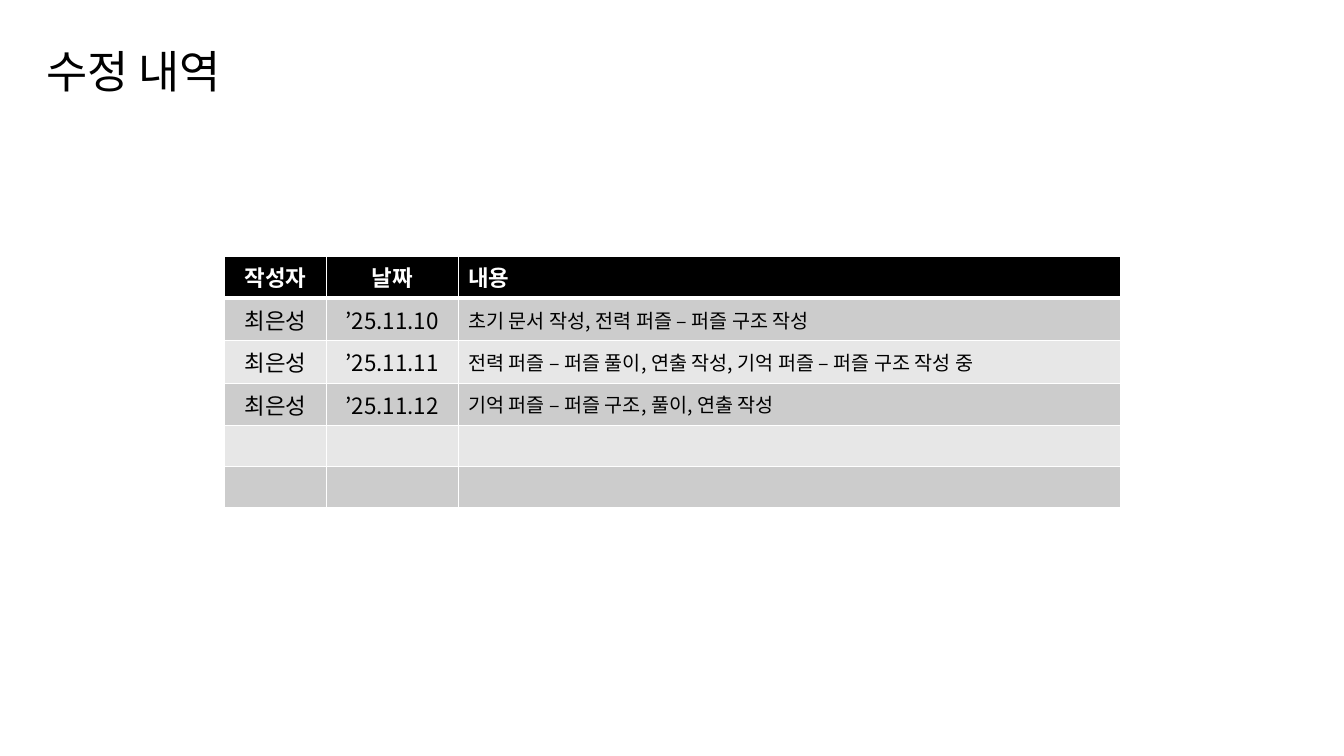
import dataclasses

import lxml.etree
import pptx
import pptx.dml.color
import pptx.enum.text
import pptx.oxml.ns
import pptx.util

Cm = pptx.util.Cm
Pt = pptx.util.Pt
qn = pptx.oxml.ns.qn
PP_ALIGN = pptx.enum.text.PP_ALIGN
MIDDLE = pptx.enum.text.MSO_ANCHOR.MIDDLE

FONT = "Noto Sans CJK KR"
COLORS = {
    "ink": "000000",
    "paper": "FFFFFF",
    "odd_row": "CCCCCC",
    "even_row": "E7E7E7",
}


@dataclasses.dataclass(frozen=True)
class Column:
    heading: str
    width: float
    align: PP_ALIGN
    size: int


@dataclasses.dataclass(frozen=True)
class Revision:
    author: str = ""
    date: str = ""
    details: str = ""


COLUMNS = [
    Column("작성자", 2.56, PP_ALIGN.CENTER, 16),
    Column("날짜", 3.33, PP_ALIGN.CENTER, 16),
    Column("내용", 16.69, PP_ALIGN.LEFT, 14),
]
REVISIONS = [
    Revision("최은성", "’25.11.10", "초기 문서 작성, 전력 퍼즐 – 퍼즐 구조 작성"),
    Revision("최은성", "’25.11.11", "전력 퍼즐 – 퍼즐 풀이, 연출 작성, 기억 퍼즐 – 퍼즐 구조 작성 중"),
    Revision("최은성", "’25.11.12", "기억 퍼즐 – 퍼즐 구조, 풀이, 연출 작성"),
    Revision(),
    Revision(),
]
HEADING_SIZE = 16
ROW_HEIGHT = 1.03


def rgb(color: str) -> pptx.dml.color.RGBColor:
    return pptx.dml.color.RGBColor.from_string(COLORS[color])


def write(frame, text: str, size: int, color: str, align: PP_ALIGN, bold: bool = False) -> None:
    paragraph = frame.paragraphs[0]
    paragraph.text = text
    paragraph.alignment = align
    font = paragraph.font
    font.size = Pt(size)
    font.bold = bold
    font.name = FONT
    font.color.rgb = rgb(color)
    defaults = paragraph._p.pPr.find(qn("a:defRPr"))
    lxml.etree.SubElement(defaults, qn("a:ea"), typeface=FONT)


def draw_borders(cell, top: float, bottom: float) -> None:
    properties = cell._tc.get_or_add_tcPr()
    for side, width in {"L": 1, "R": 1, "T": top, "B": bottom}.items():
        line = lxml.etree.SubElement(properties, qn(f"a:ln{side}"), w=str(Pt(width)))
        fill = lxml.etree.SubElement(line, qn("a:solidFill"))
        lxml.etree.SubElement(fill, qn("a:srgbClr"), val=COLORS["paper"])


def fill_cell(cell, color: str) -> None:
    cell.fill.solid()
    cell.fill.fore_color.rgb = rgb(color)


def add_title(slide, text: str) -> None:
    title = slide.shapes.title
    title.left, title.top = Cm(0.91), Cm(0.81)
    title.width, title.height = Cm(29.21), Cm(2.11)
    title.text_frame.vertical_anchor = MIDDLE
    write(title.text_frame, text, 32, "ink", PP_ALIGN.LEFT)
    title.text_frame.paragraphs[0].line_spacing = 0.9


def add_revision_table(slide) -> None:
    row_count = len(REVISIONS) + 1
    history = slide.shapes.add_table(
        row_count, len(COLUMNS), Cm(5.66), Cm(6.45),
        Cm(sum(column.width for column in COLUMNS)), Cm(ROW_HEIGHT * row_count),
    ).table
    for row in history.rows:
        row.height = Cm(ROW_HEIGHT)
    for index, column in enumerate(COLUMNS):
        history.columns[index].width = Cm(column.width)
        heading = history.cell(0, index)
        draw_borders(heading, 1, 3)
        fill_cell(heading, "ink")
        write(heading.text_frame, column.heading, HEADING_SIZE, "paper", column.align, bold=True)
    for number, revision in enumerate(REVISIONS, start=1):
        for index, text in enumerate(dataclasses.astuple(revision)):
            cell = history.cell(number, index)
            draw_borders(cell, 3 if number == 1 else 1, 1)
            fill_cell(cell, "odd_row" if number % 2 else "even_row")
            if text:
                cell.vertical_anchor = MIDDLE
                write(cell.text_frame, text, COLUMNS[index].size, "ink", COLUMNS[index].align)


def main() -> None:
    presentation = pptx.Presentation()
    presentation.slide_width, presentation.slide_height = Cm(33.87), Cm(19.05)
    slide = presentation.slides.add_slide(presentation.slide_layouts[5])
    add_title(slide, "수정 내역")
    add_revision_table(slide)
    presentation.save("out.pptx")


if __name__ == "__main__":
    main()
